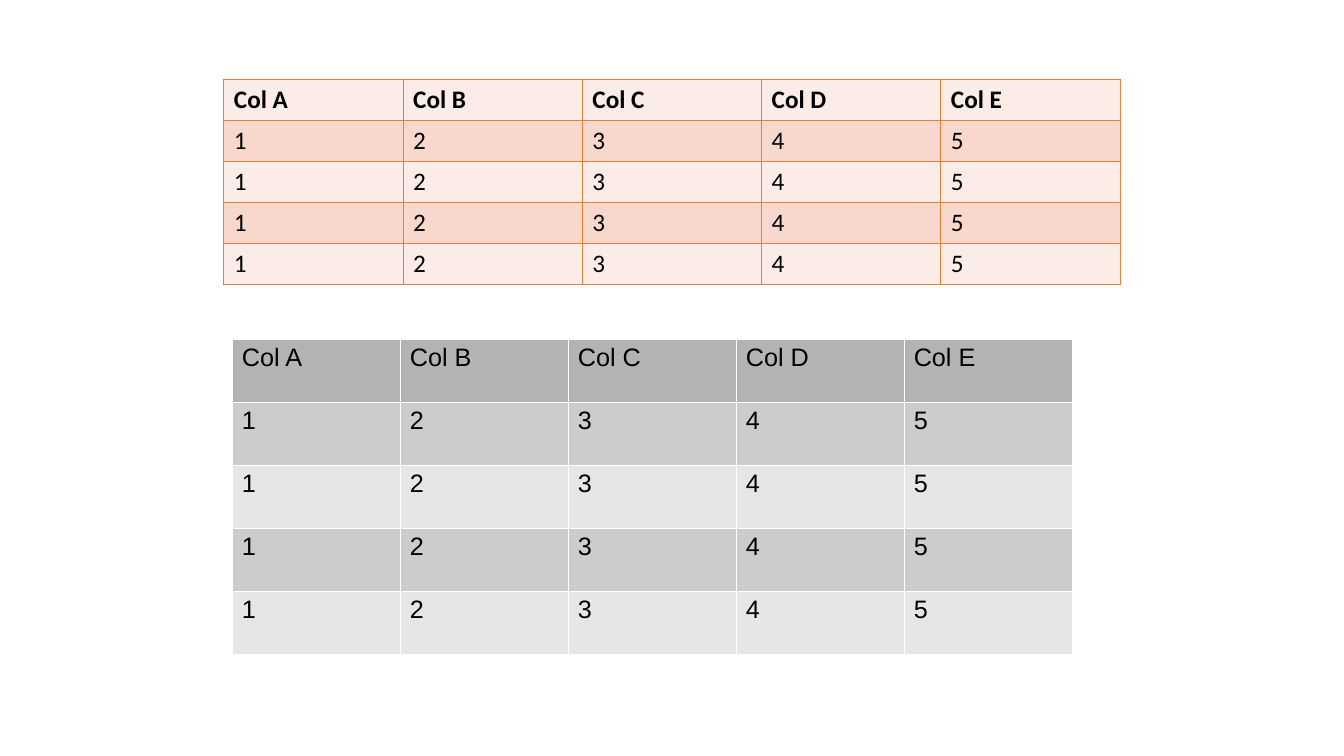
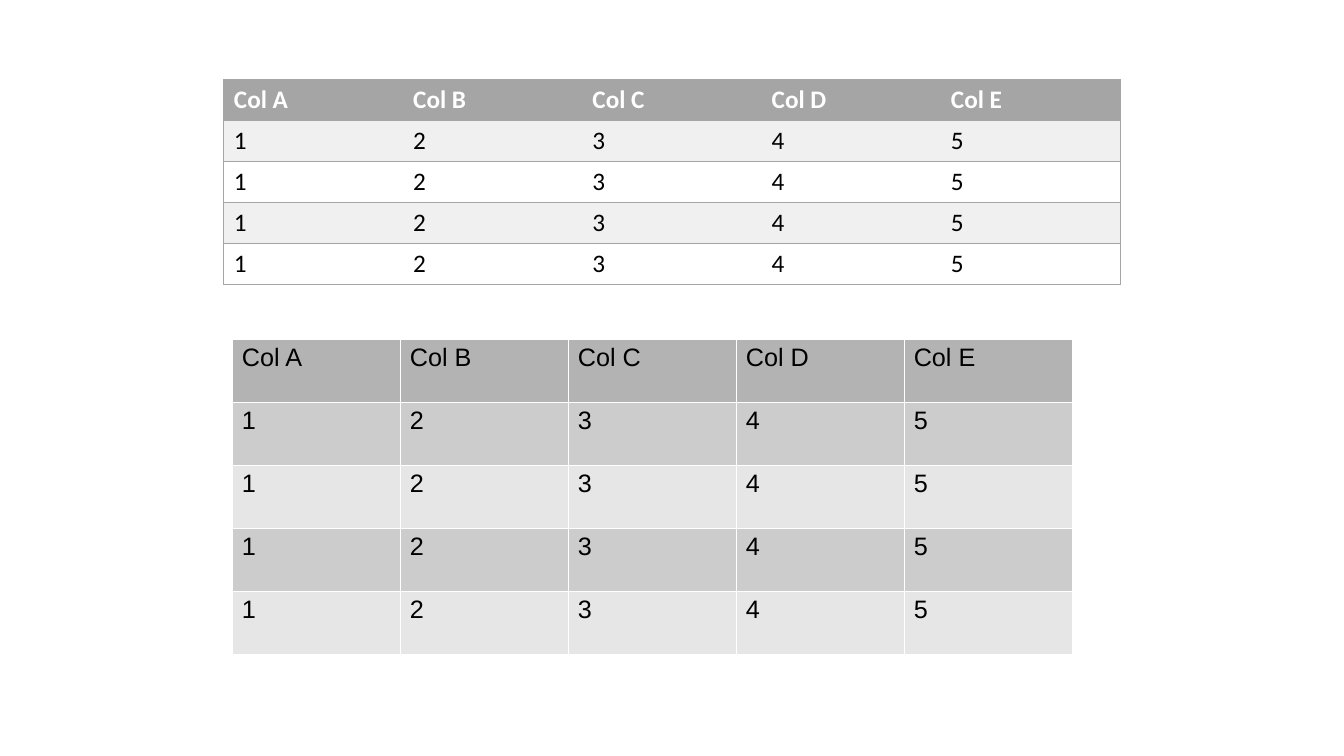
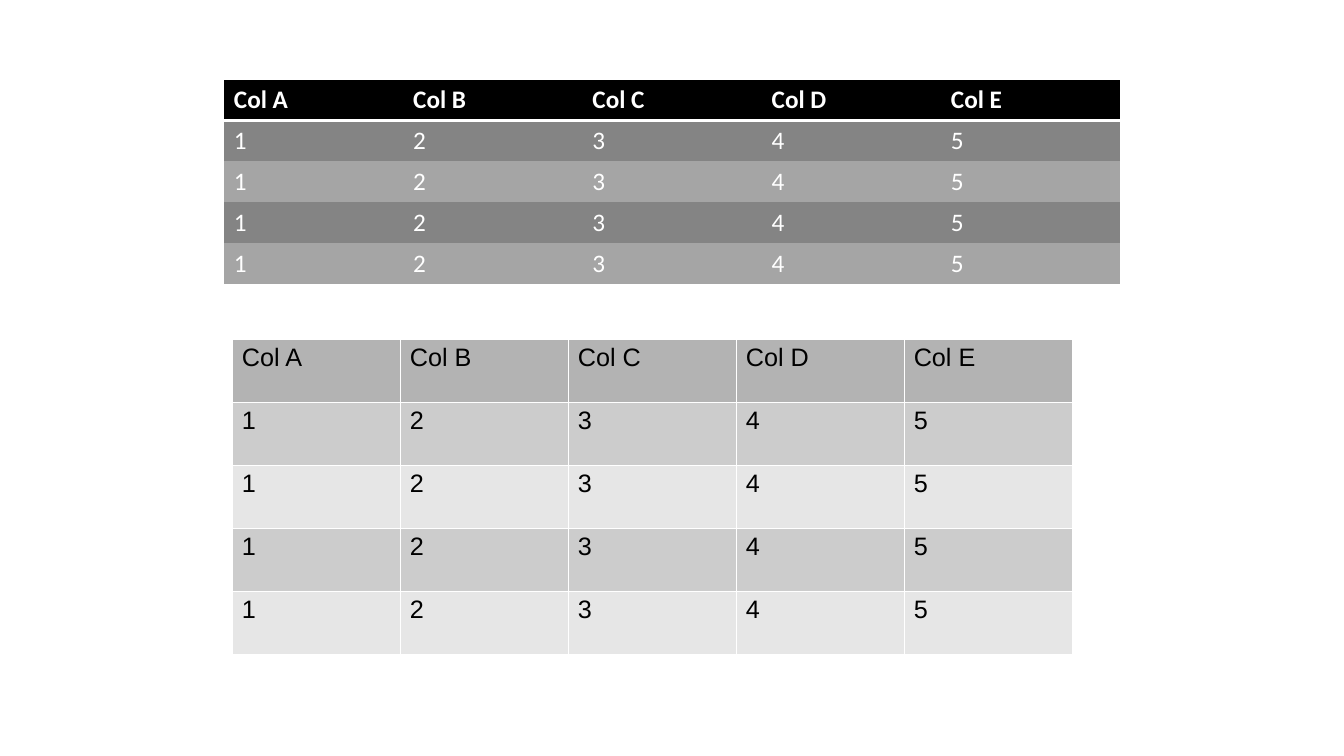
"""Build three slides, each with a styled table above a plain grey one."""
from pptx import Presentation
from pptx.dml.color import RGBColor
from pptx.enum.text import MSO_ANCHOR
from pptx.oxml.ns import qn
from pptx.util import Inches, Pt
from lxml.etree import SubElement

ROWS = [["Col A", "Col B", "Col C", "Col D", "Col E"]] + [["1", "2", "3", "4", "5"]] * 4
NO_STYLE = "{2D5ABB26-0587-4C30-8999-92F81FD0307C}"

TOP = dict(box=(2.22, 0.79, 8.89, 2.03), font="Calibri", bold_head=True,
           anchor=MSO_ANCHOR.MIDDLE)
BOTTOM = dict(box=(2.3, 3.36, 8.33, 3.13), font="Arial", bold_head=False,
              anchor=MSO_ANCHOR.TOP)

ORANGE = dict(fills=("FBECE7", "F8D7CD", "FBECE7"), head_text="000000", body_text="000000",
              rule="grid", line=("ED7D31", 0.96))
LIGHT = dict(fills=("A5A5A5", "F0F0F0", "FFFFFF"), head_text="FFFFFF", body_text="000000",
             rule="rows", line=("A5A5A5", 0.96))
DARK = dict(fills=("000000", "848484", "A5A5A5"), head_text="FFFFFF", body_text="FFFFFF",
            rule="header", line=("FFFFFF", 1.98))
GREY = dict(fills=("B3B3B3", "CCCCCC", "E6E6E6"), head_text="000000", body_text="000000",
            rule="grid", line=("FFFFFF", 0.06))

SLIDES = [[(TOP, look), (BOTTOM, GREY)] for look in (ORANGE, LIGHT, DARK)]


def rgb(color):
    return RGBColor.from_string(color)


def border_sides(rule, row, col):
    if rule == "grid":
        return "LRTB"
    if rule == "header":
        return "B" if row == 0 else ""
    left = "L" if col == 0 else ""
    right = "R" if col == len(ROWS[0]) - 1 else ""
    return left + right + "TB"


def add_borders(cell, sides, color, width):
    tc_pr = cell._tc.get_or_add_tcPr()
    for side in sides:
        ln = SubElement(tc_pr, qn(f"a:ln{side}"), w=str(Pt(width)))
        fill = SubElement(ln, qn("a:solidFill"))
        SubElement(fill, qn("a:srgbClr"), val=color)


def style_cell(cell, row, col, layout, look):
    add_borders(cell, border_sides(look["rule"], row, col), *look["line"])
    head, odd, even = look["fills"]
    cell.fill.solid()
    cell.fill.fore_color.rgb = rgb(head if row == 0 else odd if row % 2 else even)
    cell.vertical_anchor = layout["anchor"]
    font = cell.text_frame.paragraphs[0].runs[0].font
    font.name = layout["font"]
    font.size = Pt(18)
    font.bold = row == 0 and layout["bold_head"]
    font.color.rgb = rgb(look["head_text"] if row == 0 else look["body_text"])


def add_data_table(s, layout, look):
    box = [Inches(v) for v in layout["box"]]
    table = s.shapes.add_table(len(ROWS), len(ROWS[0]), *box).table
    table._tbl.tblPr.find(qn("a:tableStyleId")).text = NO_STYLE
    for r, values in enumerate(ROWS):
        for c, value in enumerate(values):
            cell = table.cell(r, c)
            cell.text_frame.text = value
            style_cell(cell, r, c, layout, look)


def main():
    prs = Presentation()
    prs.slide_width, prs.slide_height = Inches(13.33), Inches(7.5)
    for tables in SLIDES:
        s = prs.slides.add_slide(prs.slide_layouts[6])
        for layout, look in tables:
            add_data_table(s, layout, look)
    prs.save("out.pptx")


if __name__ == "__main__":
    main()
